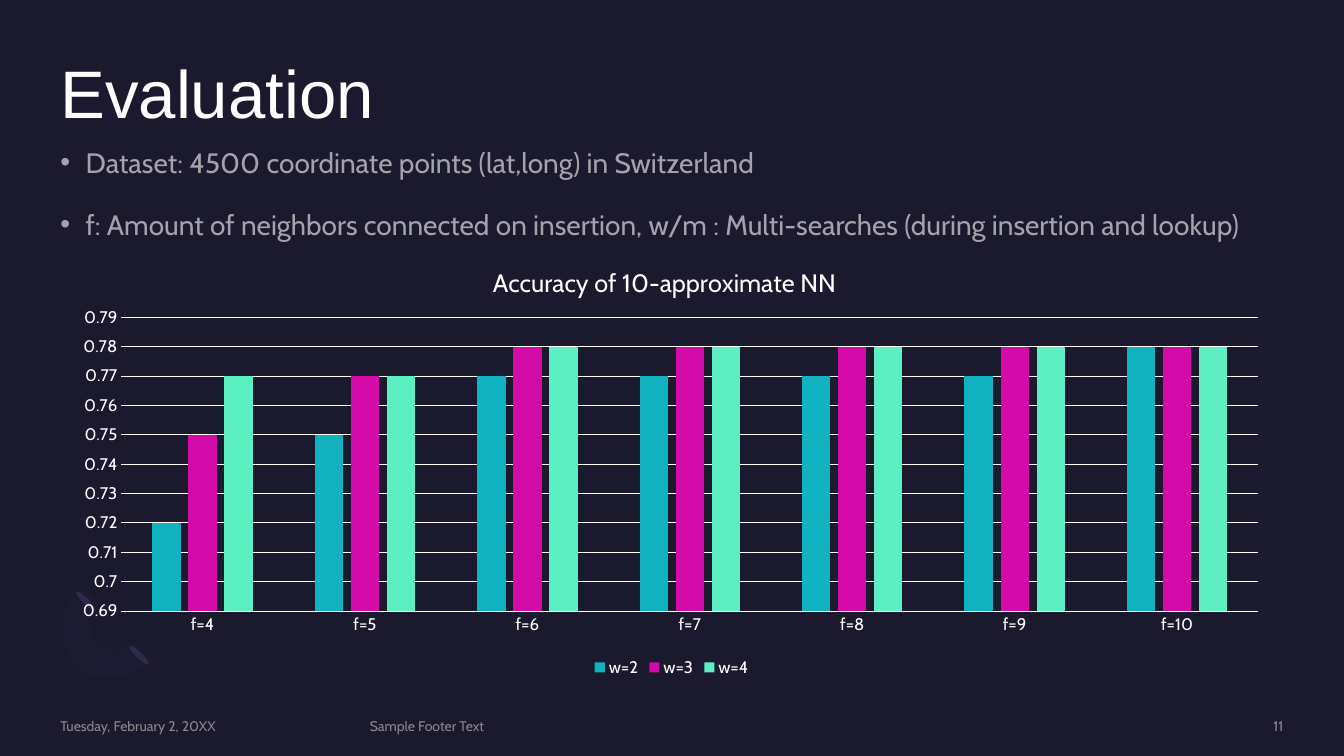
"""Build the Evaluation slide with its accuracy chart."""
from lxml.etree import SubElement
from pptx import Presentation
from pptx.chart.data import CategoryChartData
from pptx.dml.color import RGBColor
from pptx.enum.chart import XL_CHART_TYPE as ChartType, XL_LEGEND_POSITION as LegendPosition
from pptx.enum.chart import XL_TICK_MARK as TickMark
from pptx.enum.shapes import MSO_SHAPE as Shape
from pptx.enum.text import MSO_ANCHOR as Anchor, MSO_AUTO_SIZE as AutoSize, PP_ALIGN as Align
from pptx.oxml import parse_xml
from pptx.oxml.ns import nsdecls, qn
from pptx.util import Cm, Pt

NIGHT = RGBColor(0x1B, 0x19, 0x2E)
INDIGO = RGBColor(0x2C, 0x28, 0x4A)
LAVENDER = RGBColor(0x77, 0x71, 0xB2)
WHITE = RGBColor(0xFF, 0xFF, 0xFF)
GREY = RGBColor(0xA6, 0xA6, 0xA6)
TEAL = RGBColor(0x12, 0xB1, 0xBF)
MAGENTA = RGBColor(0xD4, 0x0A, 0xA8)
MINT = RGBColor(0x5B, 0xEF, 0xC1)

LEFT, WIDTH = 1.52, 30.81
FRAME = dict(margin_left=0, margin_top=0, margin_right=0, margin_bottom=0,
             word_wrap=True, auto_size=AutoSize.NONE)
BULLET = dict(line_spacing=1.1, space_before=Pt(10), space_after=Pt(8))

RING_START = (1.93, 16.74)
RING = [
    [(1.42, 16.23), (1.47, 15.37), (2.06, 14.78)],
    [(2.51, 15.24)],
    [(2.21, 15.52), (2.18, 15.98), (2.44, 16.21)],
    [(2.69, 16.46), (3.12, 16.43), (3.43, 16.15)],
    [(3.86, 16.61)],
    [(3.3, 17.17), (2.41, 17.25), RING_START],
]


def apply(target, values):
    for name, value in values.items():
        setattr(target, name, value)


def set_alpha(element, percent):
    for color in element.iter(qn("a:srgbClr")):
        SubElement(color, qn("a:alpha")).set("val", str(percent * 1000))


def outline(start, segments, steps=12):
    points = [start]
    for segment in segments:
        if len(segment) == 1:
            points += segment
            continue
        curve = [points[-1], *segment]
        for step in range(1, steps + 1):
            t = step / steps
            weights = ((1 - t) ** 3, 3 * t * (1 - t) ** 2, 3 * t * t * (1 - t), t ** 3)
            points.append(tuple(sum(w * p[axis] for w, p in zip(weights, curve))
                                for axis in (0, 1)))
    return [(Cm(x), Cm(y)) for x, y in points]


def place(parent, index, target="", **values):
    for old in parent.findall(qn("c:layout")):
        parent.remove(old)
    modes = '<c:xMode val="edge"/><c:yMode val="edge"/>'
    sizes = "".join(f'<c:{name} val="{value}"/>' for name, value in values.items())
    parent.insert(index, parse_xml(
        f'<c:layout {nsdecls("c")}><c:manualLayout>{target}{modes}{sizes}'
        '</c:manualLayout></c:layout>'))


class SlideBuilder:
    def __init__(self, deck, font="Cabin"):
        self.font = font
        self.slide = deck.slides.add_slide(deck.slide_layouts[5])
        self.shapes = self.slide.shapes
        self.fill(self.slide.background, NIGHT)

    def fill(self, item, color):
        item.fill.solid()
        item.fill.fore_color.rgb = color

    def style(self, font, size, color=WHITE, name=None):
        apply(font, dict(size=Pt(size), name=name or self.font))
        font.color.rgb = color

    def decorate(self, shape, color):
        self.fill(shape, color)
        shape.line.fill.background()
        shape.shadow.inherit = False

    def petal(self, x, y):
        petal = self.shapes.add_shape(Shape.OVAL, Cm(x), Cm(y), Cm(0.15), Cm(0.66))
        petal.rotation = 135
        self.decorate(petal, INDIGO)

    def ring(self, alpha):
        first, *rest = outline(RING_START, RING)
        builder = self.shapes.build_freeform(*first)
        builder.add_line_segments(rest)
        ring = builder.convert_to_shape()
        self.decorate(ring, LAVENDER)
        set_alpha(ring.element, alpha)

    def title(self, text):
        title = self.shapes.title
        apply(title, dict(left=Cm(LEFT), top=Cm(1.52), width=Cm(WIDTH), height=Cm(3.71)))
        apply(title.text_frame, dict(FRAME, vertical_anchor=Anchor.TOP))
        para = title.text_frame.paragraphs[0]
        apply(para, dict(alignment=Align.LEFT, line_spacing=0.9))
        self.add_span(para, text, 48, WHITE, name="Arial")

    def add_span(self, para, text, size, color, alpha=100, name=None):
        span = para.add_run()
        span.text = text
        self.style(span.font, size, color, name)
        if alpha < 100:
            set_alpha(span._r, alpha)
        return span

    def text_box(self, x, y, width, height, anchor):
        box = self.shapes.add_textbox(Cm(x), Cm(y), Cm(width), Cm(height))
        apply(box.text_frame, dict(FRAME, vertical_anchor=anchor))
        return box.text_frame

    def footer(self, text, x, width, align=Align.LEFT):
        para = self.text_box(x, 18.08, width, 0.43, Anchor.MIDDLE).paragraphs[0]
        para.alignment = align
        self.add_span(para, text, 10, GREY, alpha=80)

    def bullets(self, lines):
        frame = self.text_box(LEFT, 3.58, 30.18, 1.5, Anchor.TOP)
        for number, line in enumerate(lines):
            para = frame.add_paragraph() if number else frame.paragraphs[0]
            apply(para, BULLET)
            properties = para._p.get_or_add_pPr()
            properties.set("marL", str(Cm(0.64)))
            properties.set("indent", str(-Cm(0.64)))
            SubElement(properties, qn("a:buFont")).set("typeface", "Arial")
            SubElement(properties, qn("a:buChar")).set("char", "•")
            self.add_span(para, line, 20, WHITE, alpha=60)

    def chart(self, title, categories, series):
        data = CategoryChartData()
        data.categories = categories
        for name, values, _ in series:
            data.add_series(name, values)
        chart = self.shapes.add_chart(ChartType.COLUMN_CLUSTERED, Cm(LEFT), Cm(6.12),
                                      Cm(WIDTH), Cm(11.05), data).chart
        self.style(chart.font, 10)
        apply(chart, dict(has_title=True, has_legend=True))
        heading = chart.chart_title
        span = self.add_span(heading.text_frame.paragraphs[0], title, 18, WHITE)
        span.font.bold = False
        place(heading._element, 1, x=0.35, y=0.04)
        apply(chart.legend, dict(position=LegendPosition.BOTTOM, include_in_layout=False))
        self.style(chart.legend.font, 12)

        plot = chart.plots[0]
        apply(plot, dict(gap_width=219, overlap=-27, vary_by_categories=False))
        for bars, (_, _, color) in zip(plot.series, series):
            self.fill(bars.format, color)
        place(chart._chartSpace.chart.plotArea, 0, '<c:layoutTarget val="inner"/>',
              x=0.05, y=0.17, w=0.93, h=0.67)

        values = chart.value_axis
        for axis in (chart.category_axis, values):
            apply(axis, dict(major_tick_mark=TickMark.NONE, minor_tick_mark=TickMark.NONE))
            self.style(axis.tick_labels.font, 12)
        apply(values, dict(minimum_scale=0.69, maximum_scale=0.79, major_unit=0.01))
        apply(values.tick_labels, dict(number_format="General", number_format_is_linked=False))
        values.format.line.fill.background()
        for line in (chart.category_axis.format.line, values.major_gridlines.format.line):
            line.color.rgb = WHITE
            line.width = Pt(0.75)


deck = Presentation()
apply(deck, dict(slide_width=Cm(33.87), slide_height=Cm(19.05)))
page = SlideBuilder(deck)
page.petal(3.43, 16.18)
page.petal(2.08, 14.81)
page.ring(alpha=3)
page.title("Evaluation")
page.chart("Accuracy of 10-approximate NN", [f"f={f}" for f in range(4, 11)], [
    ("w=2", (0.72, 0.75, 0.77, 0.77, 0.77, 0.77, 0.78), TEAL),
    ("w=3", (0.75, 0.77, 0.78, 0.78, 0.78, 0.78, 0.78), MAGENTA),
    ("w=4", (0.77, 0.77, 0.78, 0.78, 0.78, 0.78, 0.78), MINT),
])
page.footer("Tuesday, February 2, 20XX", LEFT, 7.32)
page.footer("Sample Footer Text", 9.32, 17.73)
page.footer("11", 27.64, 4.7, Align.RIGHT)
page.bullets([
    "Dataset: 4500 coordinate points (lat,long) in Switzerland",
    "f: Amount of neighbors connected on insertion, w/m : Multi-searches "
    "(during insertion and lookup)",
])
deck.save("out.pptx")
